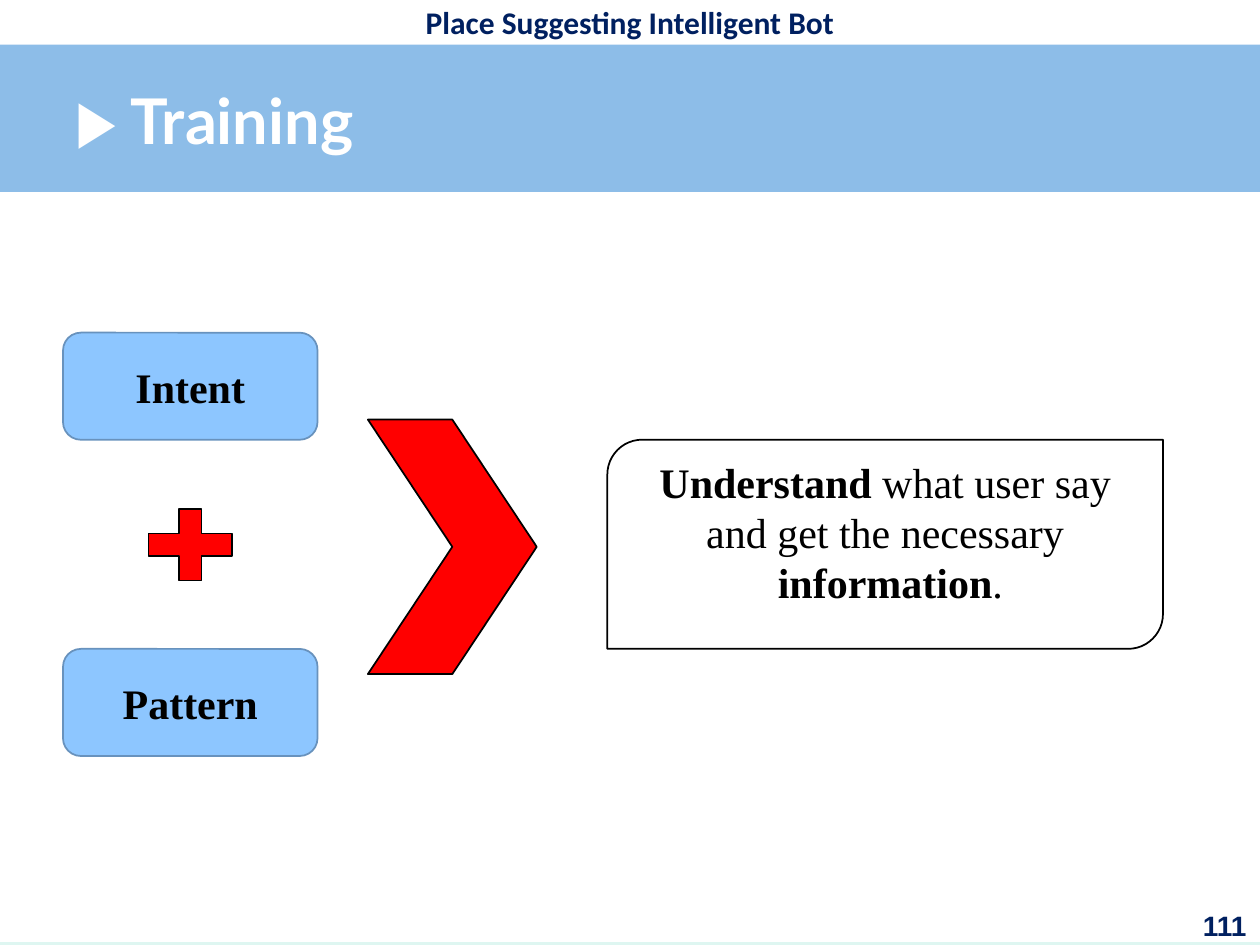
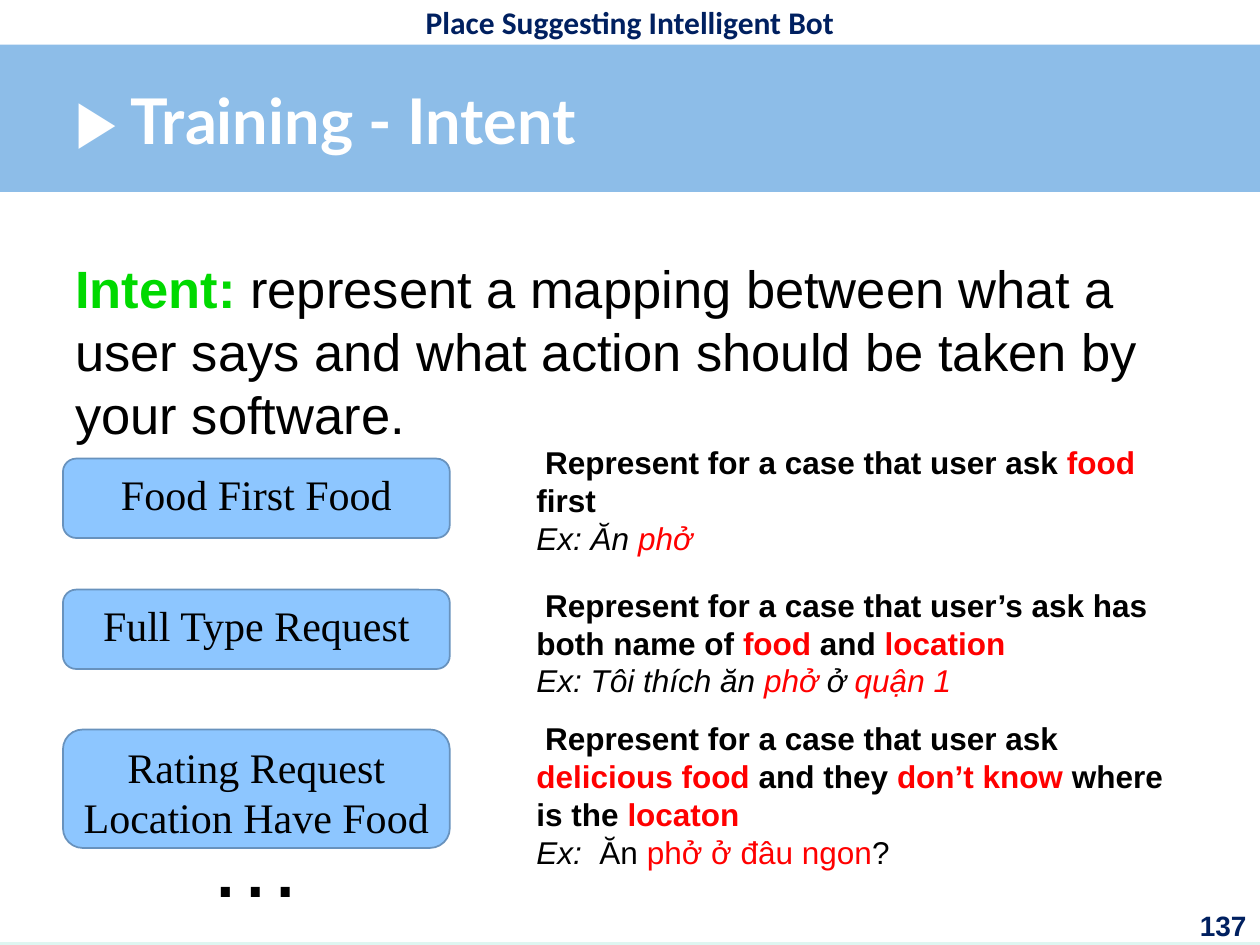
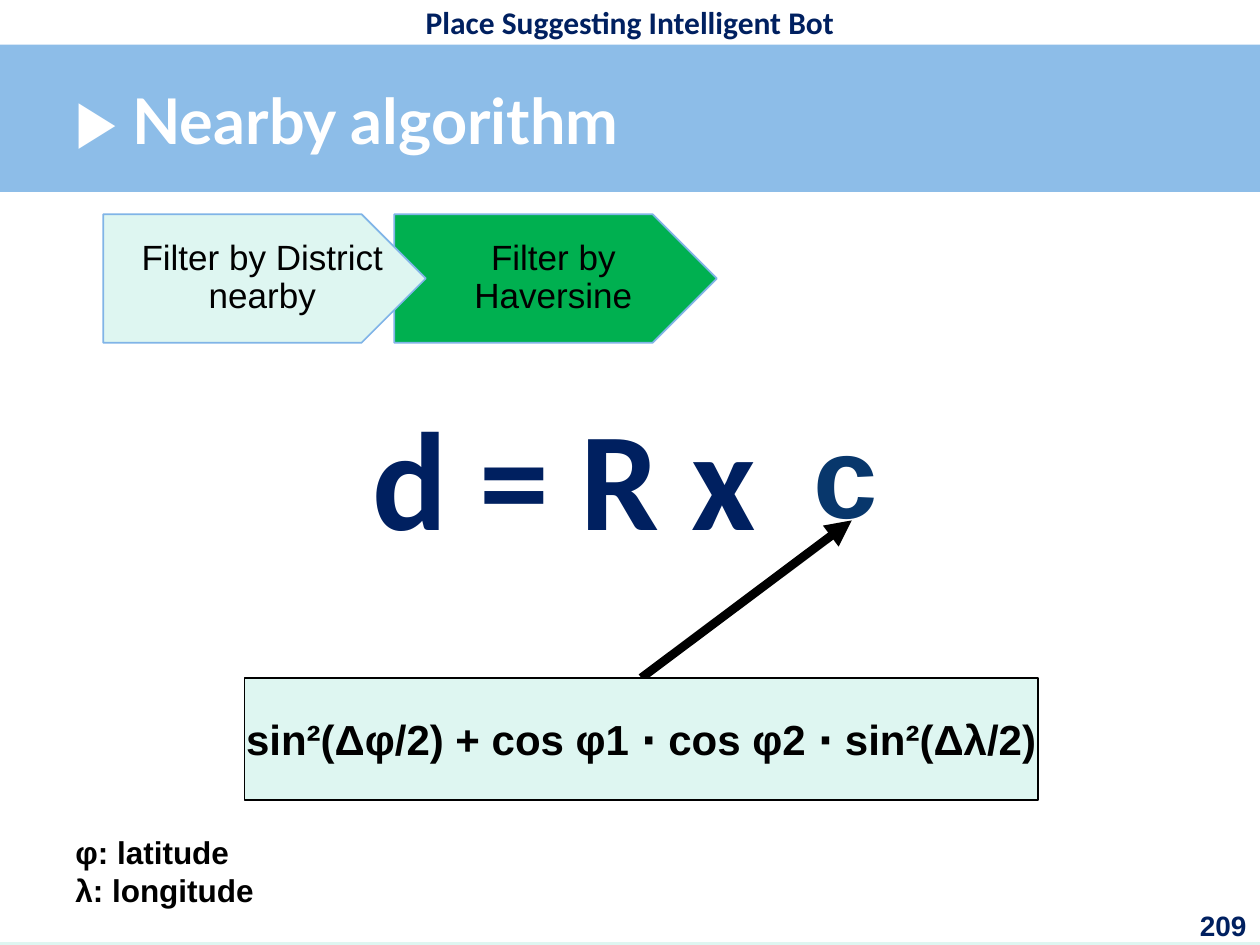
"""Builds three slides on training and nearby search for a place bot."""
from lxml.etree import SubElement
from pptx import Presentation
from pptx.dml.color import RGBColor
from pptx.enum.shapes import MSO_CONNECTOR, MSO_SHAPE
from pptx.enum.text import MSO_ANCHOR, PP_ALIGN
from pptx.oxml.ns import qn
from pptx.util import Inches, Pt

COLORS = {
    "mint": "DEF6F1", "band": "8DBDE8", "white": "FFFFFF", "navy": "002060",
    "black": "000000", "sky": "8DC6FF", "steel": "6892BD", "red": "FF0000",
    "lime": "00D900", "green": "00B050", "edge": "80B4E7", "ink": "08376C",
}
ALIGN = {"left": PP_ALIGN.LEFT, "center": PP_ALIGN.CENTER, "right": PP_ALIGN.RIGHT}
CELL = 0.5
COLS, ROWS = 20, 15
SERIF = "Times New Roman"
HOT = {"color": "red"}
BOLD = {"bold": True}
SLANT = {"italic": True}
HOT_BOLD = HOT | BOLD
HOT_SLANT = HOT | SLANT


def grid(*cells):
    return [Inches(CELL * cell) for cell in cells]


def paint(color):
    return RGBColor.from_string(COLORS[color])


def write(frame, lines, align="left", middle=False, wrap=True,
          pad=(0.2, 0.1, 0.2, 0.1), space=None, **base):
    frame.word_wrap = wrap
    frame.vertical_anchor = MSO_ANCHOR.MIDDLE if middle else MSO_ANCHOR.TOP
    (frame.margin_left, frame.margin_top,
     frame.margin_right, frame.margin_bottom) = grid(*pad)
    for count, line in enumerate(lines):
        para = frame.add_paragraph() if count else frame.paragraphs[0]
        para.alignment = ALIGN[align]
        if space:
            para.line_spacing = space
        for part in [line] if isinstance(line, str) else line:
            words, extra = (part, {}) if isinstance(part, str) else part
            look = {"face": "Arial", "size": 18, "color": "black"} | base | extra
            run = para.add_run()
            run.text = words
            font = run.font
            font.name, font.size = look["face"], Pt(look["size"])
            font.bold = look.get("bold", False)
            font.italic = look.get("italic", False)
            font.color.rgb = paint(look["color"])


class Deck:
    def __init__(self):
        self.show = Presentation()
        self.show.slide_width, self.show.slide_height = grid(COLS, ROWS)
        self.slide = None

    def page(self, title, number):
        self.slide = self.show.slides.add_slide(self.show.slide_layouts[6])
        back = self.slide.background.fill
        back.solid()
        back.fore_color.rgb = paint("mint")
        for top, high, color in ((0, 3.1, "band"), (0, 0.71, "white"),
                                 (3.05, 11.9, "white")):
            self.shape("RECTANGLE", (0, top, COLS, high), color)
        self.text((1, 0, 18, 0.71), ["Place Suggesting Intelligent Bot"],
                  face="Calibri", color="navy", bold=True,
                  align="center", middle=True, wrap=False)
        self.text((1, 0.7, 18, 2.4), [f"▶ {title}"], face="Lato", size=36,
                  color="white", bold=True, middle=True)
        self.text((18.76, 14.32, 1.22, 0.68), [number], size=16,
                  color="navy", bold=True, align="right")

    def text(self, box, lines, **form):
        write(self.slide.shapes.add_textbox(*grid(*box)).text_frame, lines, **form)

    def shape(self, kind, box, fill, edge=None, lines=(), **form):
        item = self.slide.shapes.add_shape(MSO_SHAPE[kind], *grid(*box))
        item.shadow.inherit = False
        item.fill.solid()
        item.fill.fore_color.rgb = paint(fill)
        if edge:
            item.line.color.rgb = paint(edge)
            item.line.width = Pt(1)
        else:
            item.line.fill.background()
        if lines:
            write(item.text_frame, lines, align="center", **form)

    def label(self, box, lines, **form):
        self.shape("ROUNDED_RECTANGLE", box, "sky", "steel", lines,
                   face=SERIF, size=24, wrap=False, **form)

    def arrow(self, start, end, width):
        link = self.slide.shapes.add_connector(
            MSO_CONNECTOR.STRAIGHT, *grid(*start, *end))
        link.line.color.rgb = paint("black")
        link.line.width = Pt(width)
        SubElement(link.line._get_or_add_ln(), qn("a:tailEnd"), type="triangle")
        SubElement(link._element.spPr, qn("a:effectLst"))


def train(deck):
    deck.page("Training", "111")
    for top, name in ((5.28, "Intent"), (10.3, "Pattern")):
        deck.label((1, top, 4.04, 1.7), [name], bold=True, middle=True)
    deck.shape("MATH_PLUS", (2.12, 7.88, 1.8, 1.54), "red", "black")
    deck.shape("CHEVRON", (5.84, 6.66, 2.68, 4.04), "red", "black")
    goal = [
        [("Understand", BOLD), " what user say"],
        "and get the necessary",
        [(" information", BOLD), "."],
    ]
    deck.shape("ROUND_2_DIAG_RECTANGLE", (9.64, 6.98, 8.82, 3.32), "white",
               "black", goal, face=SERIF, size=24, wrap=False)


def intent(deck):
    deck.page("Training - Intent", "137")
    deck.text((1, 3.86, 17.32, 2), [[
        ("Intent: ", {"color": "lime", "bold": True}),
        "represent a mapping between what a user says and what action "
        "should be taken by your software.",
    ]], size=30, pad=(0.2,) * 4)
    cases = [
        (7.28, 1.26, ["Food First Food"], 6.84, [
            [(" Represent for a case that user ask ", BOLD),
             ("food", HOT_BOLD), (" first", BOLD)],
            [("Ex: Ăn ", SLANT), ("phở", HOT_SLANT)],
        ]),
        (9.36, 1.26, ["Full Type Request"], 9.1, [
            [(" Represent for a case that user’s ask has both name of ", BOLD),
             ("food", HOT_BOLD), (" and ", BOLD), ("location", HOT_BOLD)],
            [("Ex: Tôi thích ăn ", SLANT), ("phở", HOT_SLANT),
             (" ở ", SLANT), ("quận 1", HOT_SLANT)],
        ]),
        (11.58, 1.88, ["Rating Request", "Location Have Food"], 11.22, [
            [(" Represent for a case that user ask ", BOLD),
             ("delicious food", HOT_BOLD), (" and they ", BOLD),
             ("don’t know", HOT_BOLD), (" where is the ", BOLD),
             ("locaton", HOT_BOLD)],
            [("Ex: ", SLANT), " Ăn ", ("phở ở đâu ngon", HOT), "?"],
        ]),
    ]
    for top, high, name, start, notes in cases:
        deck.label((1, top, 6.14, high), name)
        deck.text((8.32, start, 10.68, 1.26), notes, pad=(0.2,) * 4)
    deck.text((3.1, 12.64, 1.92, 2.02), ["…"], size=54,
              align="center", wrap=False)


def nearby(deck):
    deck.page("Nearby algorithm", "209")
    deck.text((5.7, 6.1, 7.02, 2.36), ["d = R x "], face="Calibri", size=80,
              color="navy", bold=True, align="center", wrap=False)
    deck.arrow((10.18, 10.76), (13.52, 8.26), 5)
    deck.shape("RECTANGLE", (3.88, 10.76, 12.6, 1.94), "mint", "black",
               ["sin²(Δφ/2) + cos φ1 ⋅ cos φ2 ⋅ sin²(Δλ/2)"],
               size=24, bold=True, middle=True, wrap=False)
    deck.text((12.72, 6.3, 2.38, 2.42), ["c"], size=66, color="ink", bold=True)
    for left, fill, step in ((6.26, "green", "Filter by Haversine"),
                             (1.64, "mint", "Filter by District nearby")):
        deck.shape("PENTAGON", (left, 3.4, 5.12, 2.04), fill, "edge", [step],
                   size=20, middle=True, space=0.9, pad=(0.58, 0.3, 0.14, 0.3))
    deck.text((1, 13.12, 3.26, 1.42), ["φ: latitude", "λ: longitude"],
              bold=True, wrap=False)


def main():
    deck = Deck()
    for build in (train, intent, nearby):
        build(deck)
    deck.show.save("out.pptx")


if __name__ == "__main__":
    main()
